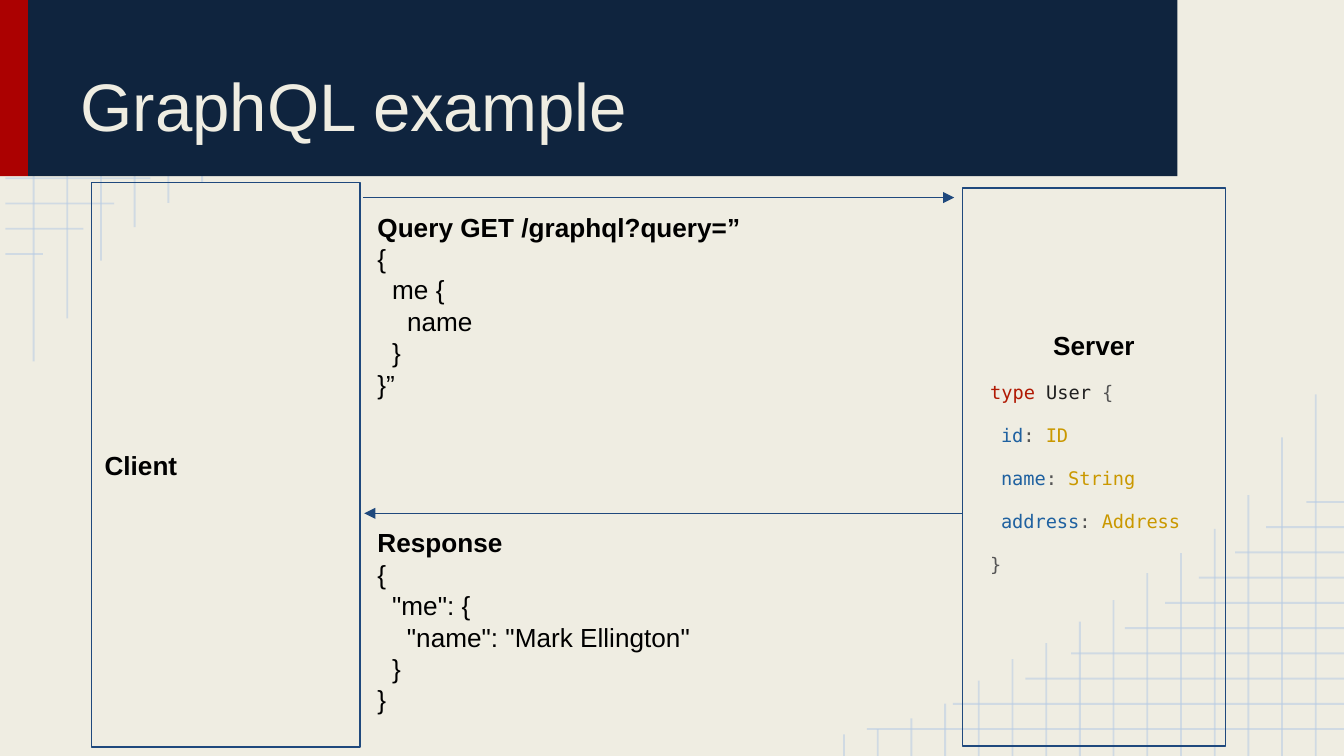
"""Build a slide that shows a GraphQL query and its response."""
from dataclasses import dataclass
from typing import Any, NamedTuple

from pptx import Presentation
from pptx import util as u
from pptx.dml import color
from pptx.enum import shapes, text
from pptx.oxml import ns, xmlchemy

CREAM, NAVY, RED, BLUE, GRID = "EFEDE2", "0F243E", "AB0101", "1F497D", "B7CCE4"
BLACK, DARK, GRAY, KEY, TYPE, WORD = "000000", "202020", "555555", "1F61A0", "CA9800", "B11A04"
MONO = "DejaVu Sans Mono"
ROW_ENDS = [3.59, 2.95, 2.41, 2.07, 1.67, 1.37, 1.12, 0.85, 0.62, 0.32]
COLUMN_ENDS = [2.69, 2.37, 1.94, 1.69, 1.51, 1.36, 1.16, 1,
               0.84, 0.72, 0.56, 0.39, 0.28, 0.2, 0.16]


class Span(NamedTuple):
    """A run of text in one format."""
    words: str
    hue: str = BLACK
    size: float = 14
    bold: bool = False
    font: str = "Arial"


@dataclass
class Para:
    """A paragraph with its indent in inches."""
    spans: list[Span]
    indent: float = 0
    before: float = 0
    align: Any = text.PP_ALIGN.LEFT


@dataclass
class Box:
    """A rectangle in inches."""
    left: float
    top: float
    width: float
    height: float

    def lengths(self) -> list[int]:
        """Return the four lengths."""
        return [u.Inches(n) for n in (self.left, self.top, self.width, self.height)]


def rgb(value: str) -> color.RGBColor:
    """Turn a hex string into a colour."""
    return color.RGBColor.from_string(value)


def apply(target: Any, values: dict[str, Any]) -> None:
    """Set each named attribute."""
    for name, value in values.items():
        setattr(target, name, value)


def write(frame: Any, paras: list[Para], anchor: Any, **extra: Any) -> None:
    """Fill a text frame with paragraphs."""
    margins = {f"margin_{side}": u.Inches(0.1) for side in ("left", "top", "right", "bottom")}
    apply(frame, margins | {"word_wrap": True, "vertical_anchor": anchor} | extra)
    for index, para in enumerate(paras):
        line = frame.add_paragraph() if index else frame.paragraphs[0]
        apply(line, {"alignment": para.align, "space_before": u.Pt(para.before)})
        properties = line._p.get_or_add_pPr()
        properties.set("marL", str(u.Inches(para.indent)))
        properties.set("indent", "0")
        for span in para.spans:
            run = line.add_run()
            run.text = span.words
            apply(run.font, {"name": span.font, "size": u.Pt(span.size), "bold": span.bold})
            run.font.color.rgb = rgb(span.hue)


def draw_line(parent: Any, start: tuple[float, float], end: tuple[float, float],
              hue: str, width: float, alpha: int = 100, arrow: bool = False) -> None:
    """Draw a straight line."""
    points = [u.Inches(n) for n in (*start, *end)]
    line = parent.add_connector(shapes.MSO_CONNECTOR.STRAIGHT, *points)
    line.line.width = u.Pt(width)
    line.line.color.rgb = rgb(hue)
    properties = line._element.spPr
    if alpha < 100:
        tint = properties.find(".//" + ns.qn("a:srgbClr"))
        tint.append(xmlchemy.OxmlElement("a:alpha"))
        tint[-1].set("val", str(alpha * 1000))
    if arrow:
        head = xmlchemy.OxmlElement("a:tailEnd")
        head.set("type", "triangle")
        line.line._get_or_add_ln().append(head)
    properties.append(xmlchemy.OxmlElement("a:effectLst"))


def draw_rectangle(page: Any, box: Box, fill: str = "", outline: str = "") -> Any:
    """Draw a rectangle with an optional fill and outline."""
    shape = page.shapes.add_shape(shapes.MSO_SHAPE.RECTANGLE, *box.lengths())
    shape.shadow.inherit = False
    for paint, hue in ((shape.fill, fill), (shape.line.fill, outline)):
        if hue:
            paint.solid()
            paint.fore_color.rgb = rgb(hue)
        else:
            paint.background()
    if outline:
        shape.line.width = u.Pt(0.75)
    return shape


def draw_grid(page: Any, turned: bool) -> None:
    """Draw a corner grid, turned by half a circle for the lower right."""
    def place(x: float, y: float) -> tuple[float, float]:
        """Map a grid point to the slide."""
        return (10.04 - x, 5.625 - y) if turned else (x, y)

    group = page.shapes.add_group_shape().shapes
    rows = [((0.04, 0.2 + i * 1.69 / 9), (end, 0.2 + i * 1.69 / 9))
            for i, end in enumerate(ROW_ENDS)]
    columns = [((0.25 + i * 3.51 / 14, end), (0.25 + i * 3.51 / 14, 0))
               for i, end in enumerate(COLUMN_ENDS)]
    for start, end in rows + columns:
        draw_line(group, place(*start), place(*end), GRID, 1, alpha=54)


def draw_message(page: Any, box: Box, heading: str, code: list[tuple[int, str]]) -> None:
    """Write a heading with indented code below it."""
    frame = page.shapes.add_textbox(*box.lengths()).text_frame
    paras = [Para([Span(heading, bold=True)])]
    paras += [Para([Span(words)], indent=0.11 * level) for level, words in code]
    write(frame, paras, text.MSO_ANCHOR.TOP, auto_size=text.MSO_AUTO_SIZE.SHAPE_TO_FIT_TEXT)


def code_line(level: int, *parts: tuple[str, str]) -> Para:
    """Make a line of coloured code."""
    spans = [Span(words, hue, 10, font=MONO) for words, hue in parts]
    return Para(spans, indent=0.11 + 0.08 * level, before=11)


def main() -> None:
    """Build and save the slide."""
    deck = Presentation()
    apply(deck, {"slide_width": u.Inches(10), "slide_height": u.Inches(5.625)})
    page = deck.slides.add_slide(deck.slide_layouts[5])
    page.background.fill.solid()
    page.background.fill.fore_color.rgb = rgb(CREAM)

    for turned in (False, True):
        draw_grid(page, turned)
    draw_rectangle(page, Box(0, -0.01, 0.21, 1.32), fill=RED)
    draw_rectangle(page, Box(0.21, -0.01, 8.55, 1.32), fill=NAVY)

    title = page.shapes.title
    apply(title, dict(zip(("left", "top", "width", "height"), Box(0.5, 0.07, 8, 1.11).lengths())))
    write(title.text_frame, [Para([Span("GraphQL example", CREAM, 36)])],
          text.MSO_ANCHOR.BOTTOM, auto_size=text.MSO_AUTO_SIZE.NONE)
    title._element.getparent().append(title._element)

    client = draw_rectangle(page, Box(0.68, 1.36, 2, 4.2), outline=BLUE)
    write(client.text_frame, [Para([Span("Client", bold=True)])], text.MSO_ANCHOR.MIDDLE)

    server = draw_rectangle(page, Box(7.16, 1.4, 1.96, 4.15), outline=BLUE)
    fields = [("id", "ID"), ("name", "String"), ("address", "Address")]
    schema = [Para([Span("Server", bold=True)], align=text.PP_ALIGN.CENTER),
              code_line(0, ("type", WORD), (" User ", DARK), ("{", GRAY))]
    schema += [code_line(1, (name, KEY), (": ", GRAY), (kind, TYPE)) for name, kind in fields]
    schema.append(code_line(0, ("}", GRAY)))
    write(server.text_frame, schema, text.MSO_ANCHOR.MIDDLE, margin_bottom=u.Inches(0.32))

    draw_line(page.shapes, (2.7, 1.47), (7.1, 1.47), BLUE, 0.75, arrow=True)
    draw_message(page, Box(2.71, 1.47, 4.45, 1.62), "Query GET /graphql?query=”",
                 [(0, "{"), (1, "me {"), (2, "name"), (1, "}"), (0, "}”")])
    draw_line(page.shapes, (7.16, 3.82), (2.71, 3.82), BLUE, 0.75, arrow=True)
    draw_message(page, Box(2.71, 3.82, 4.4, 1.62), "Response",
                 [(0, "{"), (1, '"me": {'), (2, '"name": "Mark Ellington"'), (1, "}"), (0, "}")])
    deck.save("out.pptx")


if __name__ == "__main__":
    main()
